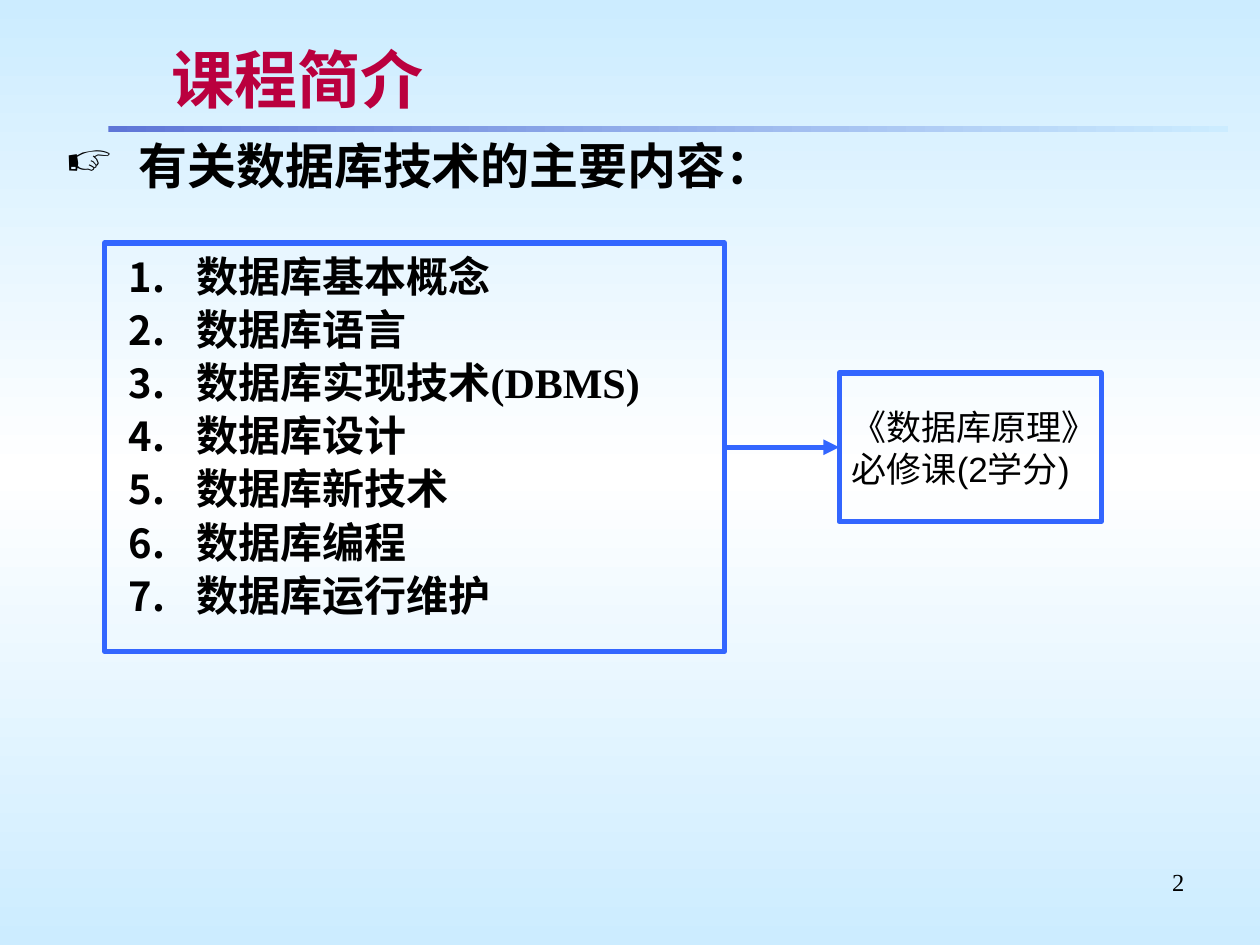
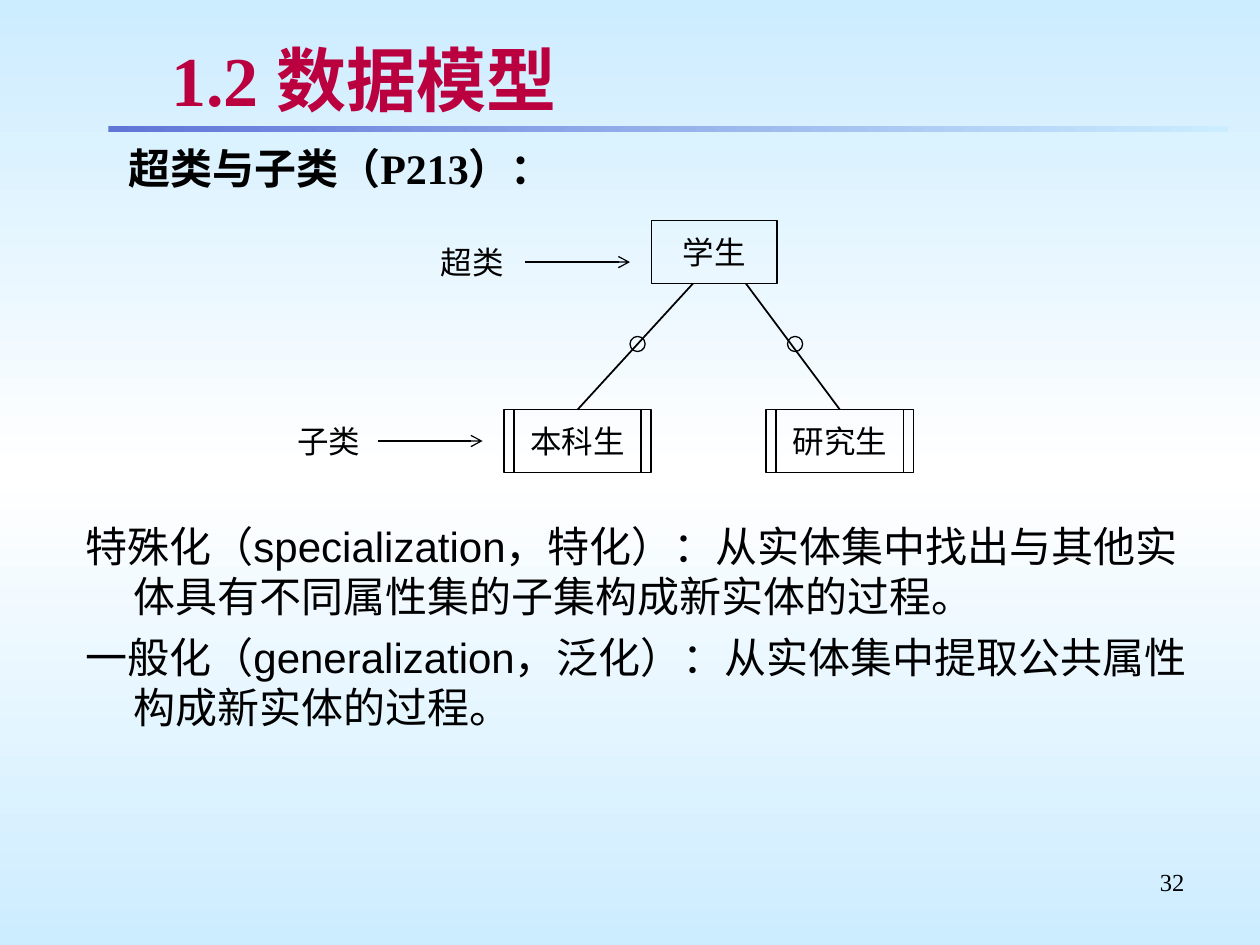
import pptx
import pptx.util
import pptx.dml.color
import pptx.enum.shapes
import pptx.enum.text
import pptx.oxml
from pptx.oxml.ns import qn, nsdecls

Inches, Pt = pptx.util.Inches, pptx.util.Pt
SHAPE = pptx.enum.shapes.MSO_SHAPE
ALIGN = pptx.enum.text.PP_ALIGN
ANCHOR = pptx.enum.text.MSO_ANCHOR
SERIF, SANS = "Times New Roman", "Arial"
COLORS = {
    "ink": "000000", "title": "BA003E", "shadow": "C0C0C0", "frame": "3366FF",
    "sky": "CCECFF", "white": "FFFFFF", "band": "5F76D7",
}

INTRO = {
    "title": "课程简介", "title_size": 36, "number": "2",
    "heading": "有关数据库技术的主要内容：",
    "topics": ["数据库基本概念", "数据库语言", "数据库实现技术(DBMS)", "数据库设计",
               "数据库新技术", "数据库编程", "数据库运行维护"],
    "course": ["《数据库原理》", "必修课(2学分)"],
}
MODEL = {
    "title": "1.2 数据模型", "title_size": 40, "number": "32",
    "heading": "超类与子类（P213）：",
    "superclass": "学生",
    "subclasses": [("本科生", 4, 5.5, 5), ("研究生", 6.08, 5.92, 6.25)],
    "labels": [("超类", 3.25, 1.83, 4.17, 2.08), ("子类", 2.11, 3.25, 3, 3.5)],
    "definitions": [
        "特殊化（specialization，特化）：从实体集中找出与其他实体具有不同属性集的子集构成新实体的过程。",
        "一般化（generalization，泛化）：从实体集中提取公共属性构成新实体的过程。",
    ],
}


def rgb(name):
    return pptx.dml.color.RGBColor.from_string(COLORS[name])


def set_gradient(fill, owner, names, angle):
    fill.gradient()
    grad = owner.find(".//" + qn("a:gradFill"))
    for child in list(grad):
        grad.remove(child)
    stops = "".join(
        f'<a:gs pos="{100000 * i // (len(names) - 1)}"><a:srgbClr val="{COLORS[name]}"/></a:gs>'
        for i, name in enumerate(names))
    grad.append(pptx.oxml.parse_xml(f'<a:gsLst {nsdecls("a")}>{stops}</a:gsLst>'))
    grad.append(pptx.oxml.parse_xml(
        f'<a:lin {nsdecls("a")} ang="{angle * 60000}" scaled="0"/>'))


def write(shape, lines, size, font=SANS, bold=False, color="ink", align=ALIGN.LEFT,
          anchor=ANCHOR.TOP, wrap=True, insets=(0.1, 0.05), spacing=1.0, before=0,
          hang=0, marker=None):
    frame = shape.text_frame
    frame.text = "\n".join(lines)
    frame.word_wrap = wrap
    frame.auto_size = pptx.enum.text.MSO_AUTO_SIZE.NONE
    frame.vertical_anchor = anchor
    frame.margin_left = frame.margin_right = Inches(insets[0])
    frame.margin_top = frame.margin_bottom = Inches(insets[1])
    for i, paragraph in enumerate(frame.paragraphs):
        paragraph.alignment = align
        paragraph.line_spacing = spacing
        paragraph.space_before = Pt(before if i else 0)
        if hang:
            props = paragraph._p.get_or_add_pPr()
            props.set("marL", str(Inches(hang)))
            props.set("indent", str(-Inches(hang)))
            if marker:
                props.append(pptx.oxml.parse_xml(
                    f'<a:buSzPct {nsdecls("a")} val="95000"/>'))
                props.append(pptx.oxml.parse_xml(marker))
        for run in paragraph.runs:
            run.font.size, run.font.name, run.font.bold = Pt(size), font, bold
            run.font.color.rgb = rgb(color)


def add_text(slide, box, lines, size, **style):
    text = slide.shapes.add_textbox(*map(Inches, box))
    write(text, lines, size, **style)


def add_outline(slide, box, color="ink", width=1, kind=SHAPE.RECTANGLE):
    outline = slide.shapes.add_shape(kind, *map(Inches, box))
    outline.shadow.inherit = False
    outline.fill.background()
    outline.line.color.rgb = rgb(color)
    outline.line.width = Pt(width)
    return outline


def add_line(slide, start, end, color="ink", width=1, head=None):
    line = slide.shapes.add_connector(
        pptx.enum.shapes.MSO_CONNECTOR.STRAIGHT, *map(Inches, (*start, *end)))
    line.line.color.rgb = rgb(color)
    line.line.width = Pt(width)
    if head:
        line.line._get_or_add_ln().append(pptx.oxml.parse_xml(
            f'<a:tailEnd {nsdecls("a")} type="{head}"/>'))
    line._element.spPr.append(pptx.oxml.parse_xml(f'<a:effectLst {nsdecls("a")}/>'))
    return line


def add_slide(prs, content):
    slide = prs.slides.add_slide(prs.slide_layouts[5])
    band = add_outline(slide, (0.86, 1, 8.89, 0.05))
    set_gradient(band.fill, band._element.spPr, ["band", "sky"], 0)
    band.line.fill.background()
    add_text(slide, (7.17, 6.83, 2.33, 0.52), [content["number"]], 14,
             font=SERIF, align=ALIGN.RIGHT)
    title = slide.shapes.title
    title.left, title.top, title.width, title.height = map(Inches, (1.26, 0.29, 8.24, 0.67))
    write(title, [content["title"]], content["title_size"], font=SERIF, bold=True,
          color="title", anchor=ANCHOR.MIDDLE, insets=(0.1, 0.04))
    for run in title.text_frame.paragraphs[0].runs:
        run._r.rPr.find(qn("a:solidFill")).addnext(pptx.oxml.parse_xml(
            f'<a:effectLst {nsdecls("a")}><a:outerShdw dist="25400" dir="2700000">'
            f'<a:srgbClr val="{COLORS["shadow"]}"/></a:outerShdw></a:effectLst>'))
    return slide


def build_intro(prs):
    slide = add_slide(prs, INTRO)
    add_text(slide, (0.42, 1.08, 9.25, 0.6), [INTRO["heading"]], 28, font=SERIF, bold=True,
             spacing=0.9, hang=0.58, marker=f'<a:buChar {nsdecls("a")} char="☞"/>')
    topics = add_outline(slide, (0.83, 1.93, 4.92, 3.24), "frame", 3)
    write(topics, INTRO["topics"], 24, font=SERIF, bold=True, insets=(0.19, 0.1),
          spacing=0.9, before=4.5, hang=0.54,
          marker=f'<a:buAutoNum {nsdecls("a")} type="arabicPeriod"/>')
    course = add_outline(slide, (6.66, 2.96, 2.08, 1.18), "frame", 3)
    write(course, INTRO["course"], 20, anchor=ANCHOR.MIDDLE, wrap=False)
    arrow = add_line(slide, (5.75, 3.55), (6.66, 3.55), "frame", 3, "triangle")
    arrow.begin_connect(topics, 3)
    arrow.end_connect(course, 1)


def build_model(prs):
    slide = add_slide(prs, MODEL)
    add_text(slide, (0.92, 1.08, 8.75, 0.6), [MODEL["heading"]], 24, font=SERIF, bold=True)
    centred = {"align": ALIGN.CENTER, "anchor": ANCHOR.MIDDLE, "wrap": False}
    superclass = add_outline(slide, (5.17, 1.75, 1, 0.5))
    write(superclass, [MODEL["superclass"]], 18, **centred)
    top, width, height, bar, ring = 3.25, 1.17, 0.5, 0.08, 0.12
    for name, left, branch_x, ring_x in MODEL["subclasses"]:
        subclass = add_outline(slide, (left, top, width, height))
        write(subclass, [name], 18, **centred)
        for x in (left + bar, left + width - bar):
            add_line(slide, (x, top), (x, top + height))
        branch = add_line(slide, (branch_x, 2.25), (left + width / 2, top))
        branch.end_connect(subclass, 0)
        add_outline(slide, (ring_x, 2.67, ring, ring), width=0.75, kind=SHAPE.OVAL)
    for label, left, label_top, arrow_x, arrow_y in MODEL["labels"]:
        add_text(slide, (left, label_top, 1, 0.5), [label], 18, **centred)
        add_line(slide, (arrow_x, arrow_y), (arrow_x + 0.83, arrow_y), width=0.75, head="arrow")
    add_text(slide, (0.58, 4.08, 9.17, 2.33), MODEL["definitions"], 24, before=6, hang=0.38)


def main():
    prs = pptx.Presentation()
    prs.slide_width, prs.slide_height = Inches(10), Inches(7.5)
    master = prs.slide_master
    set_gradient(master.background.fill, master._element.cSld, ["sky", "white", "sky"], 90)
    build_intro(prs)
    build_model(prs)
    prs.save("out.pptx")


if __name__ == "__main__":
    main()
